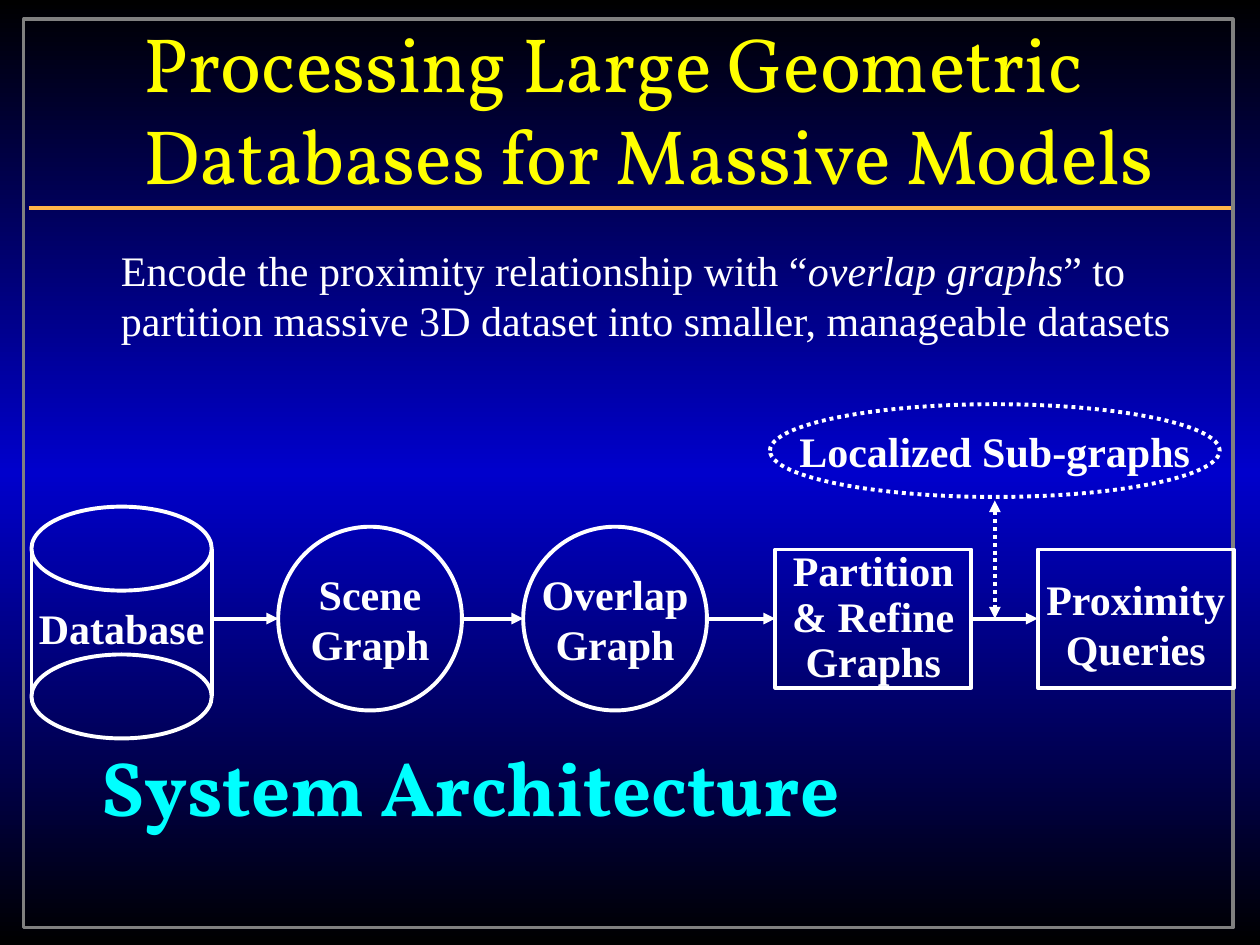
from dataclasses import dataclass

from lxml import etree
from pptx import Presentation
from pptx.dml.color import RGBColor
from pptx.enum.dml import MSO_LINE
from pptx.enum.shapes import MSO_CONNECTOR, MSO_SHAPE
from pptx.enum.text import MSO_ANCHOR, PP_ALIGN
from pptx.oxml import parse_xml
from pptx.oxml.ns import nsdecls, qn
from pptx.util import Pt

RECT = MSO_SHAPE.RECTANGLE
OVAL = MSO_SHAPE.OVAL
LINE = MSO_CONNECTOR.STRAIGHT
DOTS = MSO_LINE.ROUND_DOT
MIDDLE = MSO_ANCHOR.MIDDLE
LEFT = PP_ALIGN.LEFT
CENTER = PP_ALIGN.CENTER
WEST, EAST = 1, 3


@dataclass(frozen=True)
class Theme:
    white: str = "FFFFFF"
    yellow: str = "FFFF00"
    cyan: str = "00FFFF"
    gray: str = "808080"
    orange: str = "FFB549"
    edge: str = "000000"
    glow: str = "0000CC"
    head: str = "Vollkorn"
    body: str = "Times New Roman"
    big: int = 44
    small: int = 24
    thin: float = 2
    wide: float = 2.25


THEME = Theme()


def style(run, font, size, color, bold=False):
    run.font.name = font
    run.font.size = Pt(size)
    run.font.color.rgb = RGBColor.from_string(color)
    run.font.bold = bold


def write(shape, text, align=LEFT, font=THEME.body, size=THEME.small,
          color=THEME.white, bold=False, wrap=False, space=None):
    frame = shape.text_frame
    frame.text = text
    frame.word_wrap = wrap
    frame.vertical_anchor = MIDDLE
    for para in frame.paragraphs:
        para.alignment = align
        para.line_spacing = space
        for run in para.runs:
            style(run, font, size, color, bold)


def label(slide, box, text, **look):
    shape = slide.shapes.add_textbox(*map(Pt, box))
    write(shape, text, **look)
    return shape


def outline(slide, kind, box, color=THEME.white, width=THEME.wide, dash=None):
    shape = slide.shapes.add_shape(kind, *map(Pt, box))
    shape.shadow.inherit = False
    shape.fill.background()
    shape.line.color.rgb = RGBColor.from_string(color)
    shape.line.width = Pt(width)
    if dash:
        shape.line.dash_style = dash
    return shape


def link(slide, start, end, color=THEME.white, width=THEME.wide,
         dash=None, ends=()):
    line = slide.shapes.add_connector(LINE, *map(Pt, start + end))
    line.line.color.rgb = RGBColor.from_string(color)
    line.line.width = Pt(width)
    if dash:
        line.line.dash_style = dash
    props = line.element.spPr
    for end_tag in ends:
        etree.SubElement(props.find(qn("a:ln")), qn(end_tag), type="triangle")
    etree.SubElement(props, qn("a:effectLst"))
    return line


def backdrop(slide, box):
    stops = "".join(
        f'<a:gs pos="{spot}"><a:srgbClr val="{color}"/></a:gs>'
        for spot, color in ((0, THEME.edge), (50000, THEME.glow), (100000, THEME.edge)))
    slide.element.cSld.insert(0, parse_xml(
        f'<p:bg {nsdecls("p", "a")}><p:bgPr><a:gradFill rotWithShape="0">'
        f'<a:gsLst>{stops}</a:gsLst><a:lin ang="5400000" scaled="0"/>'
        '</a:gradFill><a:effectLst/></p:bgPr></p:bg>'))
    x, y, w, h = box
    outline(slide, RECT, box, THEME.gray, THEME.thin)
    link(slide, (x + 3, y + 108), (x + w - 1, y + 108), THEME.orange, THEME.thin)


def intro(slide, box):
    shape = label(slide, box, "Encode the proximity relationship with “\n"
                  "partition massive 3D dataset into smaller, manageable datasets")
    para = shape.text_frame.paragraphs[0]
    for text, slant in (("overlap graphs", True), ("” to", False)):
        run = para.add_run()
        run.text = text
        style(run, THEME.body, THEME.small, THEME.white)
        run.font.italic = slant


def database(slide, box):
    x, y, w, h = box
    cap, pad = 48, 10
    top, base = y + cap / 2, y + h - cap / 2
    for edge in (y, y + h - cap):
        outline(slide, OVAL, (x, edge, w, cap))
    for side in (x, x + w):
        link(slide, (side, top), (side, base))
    label(slide, (x - pad, y + 51, w + 2 * pad, 36), "Database",
          align=CENTER, bold=True)


def node(slide, kind, box, text, space=None, drop=0, dash=None):
    shape = outline(slide, kind, box, dash=dash)
    write(shape, text, CENTER, bold=True, space=space)
    shape.text_frame.margin_top = Pt(2 * drop)
    shape.text_frame.margin_bottom = Pt(0)
    return shape


def flow(slide, box):
    x, y, w, h = box
    mid = y + 122.5
    ball, wide, tall = 105, 112, 79
    scene, over, part, query = x + 141, x + 281, x + 425, x + 575
    database(slide, (x, y + 58.5, 103, 132.5))
    for left, text in ((scene, "Scene\nGraph"), (over, "Overlap\nGraph")):
        node(slide, OVAL, (left, mid - ball / 2, ball, ball), text)
    split = node(slide, RECT, (part, mid - tall / 2, wide, tall),
                 "Partition\n& Refine\nGraphs", space=0.9)
    ask = node(slide, RECT, (query, mid - tall / 2, wide, tall),
               "Proximity\nQueries", drop=3)
    spans = ((x + 103, scene, None, None),
             (scene + ball, over, None, None),
             (over + ball, part, None, split),
             (part + wide, query, split, ask))
    for left, right, source, target in spans:
        arrow = link(slide, (left, mid), (right, mid), ends=("a:tailEnd",))
        if source:
            arrow.begin_connect(source, EAST)
        if target:
            arrow.end_connect(target, WEST)
    node(slide, OVAL, (x + 422, y, 257, 53), "Localized Sub-graphs", dash=DOTS)
    pole = x + 550.5
    link(slide, (pole, y + 55), (pole, mid), dash=DOTS,
         ends=("a:headEnd", "a:tailEnd"))


def main():
    deck = Presentation()
    deck.slide_width, deck.slide_height = Pt(720), Pt(540)
    slide = deck.slides.add_slide(deck.slide_layouts[6])
    backdrop(slide, (13.5, 11, 691, 519))
    label(slide, (75, 24.5, 614, 74),
          "Processing Large Geometric Databases for Massive Models",
          font=THEME.head, size=THEME.big, color=THEME.yellow, wrap=True)
    intro(slide, (62, 136, 616, 65))
    flow(slide, (18, 231, 688, 191))
    label(slide, (51, 415.5, 638, 67), "System Architecture", font=THEME.head,
          size=THEME.big, color=THEME.cyan, bold=True, wrap=True)
    deck.save("out.pptx")


if __name__ == "__main__":
    main()
